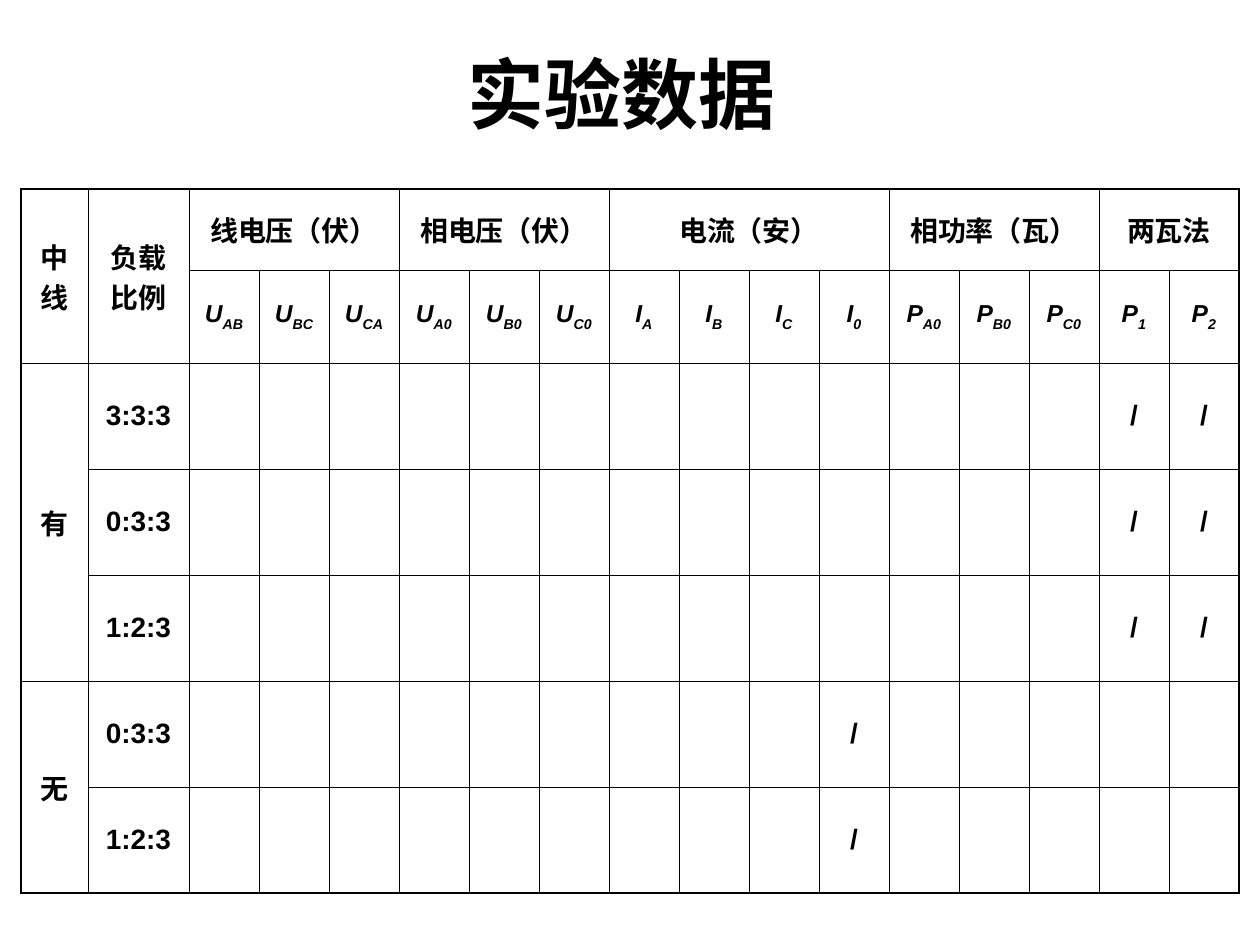
from lxml import etree
from pptx import Presentation
from pptx import util as u
from pptx.dml.color import RGBColor
from pptx.enum import text
from pptx.oxml import ns

SCALE = 914400 / 126
FONT = "Arial"
BLACK = RGBColor(0x00, 0x00, 0x00)
WHITE = RGBColor(0xFF, 0xFF, 0xFF)
THIN, THICK = u.Pt(0.45), u.Pt(0.96)

COLUMN_WIDTHS = [67, 101] + [70] * 15
ROW_HEIGHTS = [81, 81] + [106] * 5
GROUPS = [
    ("线电压（伏）", ["UAB", "UBC", "UCA"]),
    ("相电压（伏）", ["UA0", "UB0", "UC0"]),
    ("电流（安）", ["IA", "IB", "IC", "I0"]),
    ("相功率（瓦）", ["PA0", "PB0", "PC0"]),
    ("两瓦法", ["P1", "P2"]),
]
NEUTRAL_CASES = [
    ("有", ["3:3:3", "0:3:3", "1:2:3"], ["P1", "P2"]),
    ("无", ["0:3:3", "1:2:3"], ["I0"]),
]


def px(length):
    return u.Emu(round(length * SCALE))


def format_run(run, size, italic=False, subscript=False):
    font = run.font
    font.name, font.size, font.bold, font.italic = FONT, u.Pt(size), True, italic
    font.color.rgb = BLACK
    if subscript:
        run._r.get_or_add_rPr().set("baseline", "-30000")


def write_cell(cell, content):
    cell.text_frame.text = content
    for paragraph in cell.text_frame.paragraphs:
        paragraph.alignment = text.PP_ALIGN.CENTER
        for run in paragraph.runs:
            format_run(run, 16)


def write_symbol(cell, symbol):
    paragraph = cell.text_frame.paragraphs[0]
    paragraph.alignment = text.PP_ALIGN.CENTER
    for part, subscript in ((symbol[0], False), (symbol[1:], True)):
        run = paragraph.add_run()
        run.text = part
        format_run(run, 14, italic=True, subscript=subscript)


def set_borders(cell, widths):
    properties = cell._tc.get_or_add_tcPr()
    for position, (side, width) in enumerate(zip("LRTB", widths)):
        line = etree.Element(ns.qn(f"a:ln{side}"), w=str(width))
        fill = etree.SubElement(line, ns.qn("a:solidFill"))
        etree.SubElement(fill, ns.qn("a:srgbClr"), val=str(BLACK))
        properties.insert(position, line)


def format_grid(table):
    last_row, last_column = len(ROW_HEIGHTS), len(COLUMN_WIDTHS)
    for row in range(last_row):
        for column in range(last_column):
            cell = table.cell(row, column)
            cell.vertical_anchor = text.MSO_ANCHOR.MIDDLE
            cell.fill.background()
            height = cell.span_height if cell.is_merge_origin else 1
            width = cell.span_width if cell.is_merge_origin else 1
            outer = (column == 0, column + width == last_column,
                     row == 0, row + height == last_row)
            set_borders(cell, [THICK if edge else THIN for edge in outer])


def fill_headers(table):
    for column, heading in enumerate(["中线", "负载\n比例"]):
        table.cell(0, column).merge(table.cell(1, column))
        write_cell(table.cell(0, column), heading)
    column = 2
    for heading, symbols in GROUPS:
        table.cell(0, column).merge(table.cell(0, column + len(symbols) - 1))
        write_cell(table.cell(0, column), heading)
        for offset, symbol in enumerate(symbols):
            write_symbol(table.cell(1, column + offset), symbol)
        column += len(symbols)


def fill_cases(table):
    symbols = [symbol for _, group in GROUPS for symbol in group]
    row = 2
    for neutral, ratios, unused in NEUTRAL_CASES:
        table.cell(row, 0).merge(table.cell(row + len(ratios) - 1, 0))
        write_cell(table.cell(row, 0), neutral)
        for ratio in ratios:
            write_cell(table.cell(row, 1), ratio)
            for symbol in unused:
                write_cell(table.cell(row, 2 + symbols.index(symbol)), "/")
            row += 1


def add_data_table(slide, left, top):
    frame = slide.shapes.add_table(
        len(ROW_HEIGHTS), len(COLUMN_WIDTHS), px(left), px(top),
        px(sum(COLUMN_WIDTHS)), px(sum(ROW_HEIGHTS)))
    table = frame.table
    table.first_row = table.horz_banding = False
    for column, width in zip(table.columns, COLUMN_WIDTHS):
        column.width = px(width)
    for row, height in zip(table.rows, ROW_HEIGHTS):
        row.height = px(height)
    fill_headers(table)
    fill_cases(table)
    format_grid(table)


def set_title(slide, left, top, width, height):
    title = slide.shapes.title
    title.left, title.top = px(left), px(top)
    title.width, title.height = px(width), px(height)
    frame = title.text_frame
    frame.text = "实验数据 "
    frame.vertical_anchor = text.MSO_ANCHOR.MIDDLE
    frame.auto_size = text.MSO_AUTO_SIZE.NONE
    paragraph = frame.paragraphs[0]
    paragraph.alignment = text.PP_ALIGN.CENTER
    format_run(paragraph.runs[0], 44)


def main():
    presentation = Presentation()
    presentation.slide_width, presentation.slide_height = px(1260), px(945)
    slide = presentation.slides.add_slide(presentation.slide_layouts[5])
    slide.background.fill.solid()
    slide.background.fill.fore_color.rgb = WHITE
    set_title(slide, 63, 38, 1134, 110)
    add_data_table(slide, 21, 189)
    presentation.save("out.pptx")


if __name__ == "__main__":
    main()
